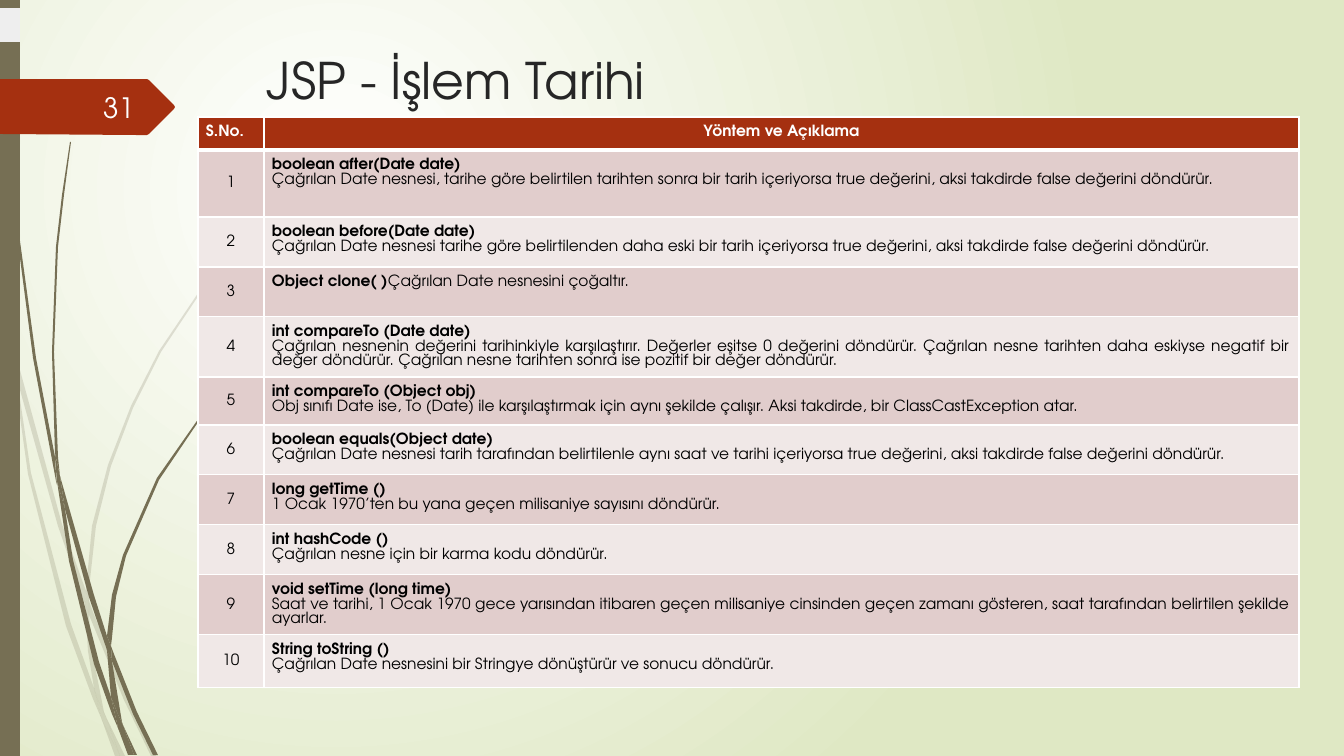
"""Build the slide listing the JSP Date methods in a table."""
import pptx
import pptx.util
import pptx.dml.color
import pptx.enum.shapes
import pptx.enum.text
import pptx.oxml
import pptx.oxml.ns
import lxml.etree

PX = 914400 / 100.8
THEME = {
    "font": "TeX Gyre Adventor",
    "title": "262626", "number": "FEFFFF", "heading": "FFFFFF", "body": "000000",
    "accent": "A53010", "wisp": "766F54", "tab": "EEEEEE", "border": "FFFFFF",
    "bands": ["E1CDCC", "F0E8E7"], "glow": ["FFFFFF", "DFE8C4"],
    "title_size": 36, "number_size": 20, "table_size": 11, "table_leading": 10.5,
}
ALIGN = pptx.enum.text.PP_ALIGN
MIDDLE = pptx.enum.text.MSO_ANCHOR.MIDDLE
qn = pptx.oxml.ns.qn


def px(value):
    return pptx.util.Emu(round(value * PX))


def style(run, size, color, bold=False):
    run.font.name = THEME["font"]
    run.font.size = pptx.util.Pt(size)
    run.font.bold = bold
    run.font.color.rgb = pptx.dml.color.RGBColor.from_string(color)


deck = pptx.Presentation()
deck.slide_width, deck.slide_height = px(1344), px(756)
slide = deck.slides.add_slide(deck.slide_layouts[6])
shapes = slide.shapes

glow = slide.background.fill
glow.gradient()
for stop, color, position in zip(glow.gradient_stops, THEME["glow"], (0, 1)):
    stop.color.rgb = pptx.dml.color.RGBColor.from_string(color)
    stop.position = position
linear = slide.background._cSld.find(".//" + qn("a:lin"))
linear.getparent().replace(linear, pptx.oxml.parse_xml(
    f'<a:path {pptx.oxml.ns.nsdecls("a")} path="circle">'
    '<a:fillToRect l="50000" t="50000" r="100000" b="100000"/></a:path>'))

faint_wisps = [
    "11 353 9 325 0 284 0 301 10 347",
    "58 526 85 604 86 591 62 524 14 348 17 379",
    "93 612 89 601 89 615 124 700 151 756 156 756 128 698",
    "120 756 125 756 106 717",
    "94 688 71 624 31 473 17 379 11 353 28 474 66 626 93 699 102 720 100 713",
    "85 604 88 651 94 688 97 698 106 717 104 712 92 651 89 615 89 613",
    "89 589 96 526 111 466 133 408 161 352 231 247 270 200 292 176 314 155 314 154 "
    "291 176 270 199 230 246 159 351 131 406 108 465 92 526 86 589 86 591 89 601",
    "102 720 115 756 120 756",
    "89 613 89 615 89 601 86 591 85 604",
    "97 698 94 688 100 713 102 720 120 756 106 717",
]
strong_wisps = [
    "7 111 17 235 33 358 56 481 57 485 55 461 55 457 36 358 19 234 8 110 5 48 4 0 3 0 4 48",
    "89 597 107 650 107 638 107 636 94 595 60 476 65 509",
    "114 654 111 646 112 661 133 714 153 755 158 755 137 712",
    "111 697 99 662 73 560 65 509 57 481 69 561 94 664 112 714 118 728 117 723",
    "60 476 58 457 54 352 58 247 64 195 71 142 70 142 62 195 56 247 52 352 55 453",
    "134 755 137 755 123 725",
    "57 481 65 509 60 476 55 453 55 457",
    "112 638 116 597 126 556 159 480 207 409 233 377 247 362 263 347 "
    "247 361 233 376 206 408 157 478 123 555 112 595 107 636 111 646",
    "118 728 128 755 132 755",
    "107 650 111 697 117 712 123 725 122 722 112 661 110 656",
    "107 650 110 656 112 661 111 646 107 636 107 638",
    "117 712 111 697 117 723 118 728 131 755 134 755 123 725",
]
side_bar = "0 0 20 0 20 756 0 756"
number_marker = "0 79 147 79 149 80 174 105 175 107 174 109 149 134 147 135 137 135 0 134"
side_tab = "0 8 20 8 20 42 0 42"

outlines = [(wisp, THEME["wisp"], 20) for wisp in faint_wisps]
outlines += [(wisp, THEME["wisp"], 100) for wisp in strong_wisps]
outlines += [(side_bar, THEME["wisp"], 100), (number_marker, THEME["accent"], 100),
             (side_tab, THEME["tab"], 100)]
for outline, color, opacity in outlines:
    if outline in (side_bar, side_tab):
        left, top, right, _, _, bottom = [int(n) for n in outline.split()[:6]]
        part = shapes.add_shape(pptx.enum.shapes.MSO_SHAPE.RECTANGLE, px(left), px(top),
                                px(right - left), px(bottom - top))
    else:
        numbers = [int(n) for n in outline.split()]
        points = list(zip(numbers[::2], numbers[1::2]))
        pen = shapes.build_freeform(*points[0], scale=PX)
        pen.add_line_segments(points[1:], close=True)
        part = pen.convert_to_shape()
    part.shadow.inherit = False
    part.line.fill.background()
    part.fill.solid()
    part.fill.fore_color.rgb = pptx.dml.color.RGBColor.from_string(color)
    if opacity < 100:
        tint = part._element.spPr.find(qn("a:solidFill"))[0]
        lxml.etree.SubElement(tint, qn("a:alpha")).set("val", str(opacity * 1000))

for words, box, size, color, align in [
    ("JSP - İşlem Tarihi", (257, 42, 983, 75), THEME["title_size"], THEME["title"], ALIGN.LEFT),
    ("31", (58, 87, 86, 40), THEME["number_size"], THEME["number"], ALIGN.RIGHT),
]:
    frame = shapes.add_textbox(*[px(n) for n in box]).text_frame
    frame.word_wrap = True
    frame.vertical_anchor = MIDDLE
    frame.text = words
    frame.paragraphs[0].alignment = align
    style(frame.paragraphs[0].runs[0], size, color)

methods = [
    ("boolean after(Date date)", "Çağrılan Date nesnesi, tarihe göre belirtilen tarihten sonra bir tarih içeriyorsa true değerini, aksi takdirde false değerini döndürür."),
    ("boolean before(Date date)", "Çağrılan Date nesnesi tarihe göre belirtilenden daha eski bir tarih içeriyorsa true değerini, aksi takdirde false değerini döndürür."),
    ("Object clone( )", "Çağrılan Date nesnesini çoğaltır."),
    ("int compareTo (Date date)", "Çağrılan nesnenin değerini tarihinkiyle karşılaştırır. Değerler eşitse 0 değerini döndürür. Çağrılan nesne tarihten daha eskiyse negatif bir değer döndürür. Çağrılan nesne tarihten sonra ise pozitif bir değer döndürür."),
    ("int compareTo (Object obj)", "Obj sınıfı Date ise, To (Date) ile karşılaştırmak için aynı şekilde çalışır. Aksi takdirde, bir ClassCastException atar."),
    ("boolean equals(Object date)", "Çağrılan Date nesnesi tarih tarafından belirtilenle aynı saat ve tarihi içeriyorsa true değerini, aksi takdirde false değerini döndürür."),
    ("long getTime ()", "1 Ocak 1970’ten bu yana geçen milisaniye sayısını döndürür."),
    ("int hashCode ()", "Çağrılan nesne için bir karma kodu döndürür."),
    ("void setTime (long time)", "Saat ve tarihi, 1 Ocak 1970 gece yarısından itibaren geçen milisaniye cinsinden geçen zamanı gösteren, saat tarafından belirtilen şekilde ayarlar."),
    ("String toString ()", "Çağrılan Date nesnesini bir Stringye dönüştürür ve sonucu döndürür."),
]
row_heights = [33, 67, 50, 50, 60, 48, 50, 50, 50, 60, 53]
method_table = shapes.add_table(len(row_heights), 2, px(198), px(117),
                                px(1101), px(sum(row_heights))).table
for column, width in zip(method_table.columns, (66, 1035)):
    column.width = px(width)
for row, height in zip(method_table.rows, row_heights):
    row.height = px(height)

method_table.cell(0, 0).text_frame.text = "S.No."
method_table.cell(0, 1).text_frame.text = "Yöntem ve Açıklama"
method_table.cell(0, 1).text_frame.paragraphs[0].alignment = ALIGN.CENTER
for index, (signature, meaning) in enumerate(methods, start=1):
    order, entry = method_table.cell(index, 0), method_table.cell(index, 1)
    order.text_frame.text = str(index)
    order.text_frame.paragraphs[0].alignment = ALIGN.CENTER
    order.vertical_anchor = MIDDLE
    entry.text_frame.text = signature
    if signature == "Object clone( )":
        entry.text_frame.paragraphs[0].add_run().text = meaning
    else:
        entry.text_frame.add_paragraph().text = meaning
    for paragraph in entry.text_frame.paragraphs:
        paragraph.alignment = ALIGN.LEFT if index == 2 else ALIGN.JUSTIFY

for index, row in enumerate(method_table.rows):
    for cell in row.cells:
        cell.margin_left = cell.margin_right = cell.margin_top = cell.margin_bottom = px(8)
        signature = cell.text_frame.paragraphs[0].runs[0]
        for paragraph in cell.text_frame.paragraphs:
            paragraph.line_spacing = pptx.util.Pt(THEME["table_leading"])
            for run in paragraph.runs:
                bold = index == 0 or (cell is not row.cells[0] and run.text in dict(methods))
                style(run, THEME["table_size"], THEME["body" if index else "heading"], bold)
        properties = cell._tc.get_or_add_tcPr()
        for side in ("lnL", "lnR", "lnT", "lnB"):
            heavy = (index, side) in ((0, "lnB"), (1, "lnT"))
            edge = lxml.etree.SubElement(properties, qn("a:" + side), w="38100" if heavy else "12700")
            ink = lxml.etree.SubElement(edge, qn("a:solidFill"))
            lxml.etree.SubElement(ink, qn("a:srgbClr"), val=THEME["border"])
        cell.fill.solid()
        cell.fill.fore_color.rgb = pptx.dml.color.RGBColor.from_string(
            THEME["bands"][(index - 1) % 2] if index else THEME["accent"])

deck.save("out.pptx")
